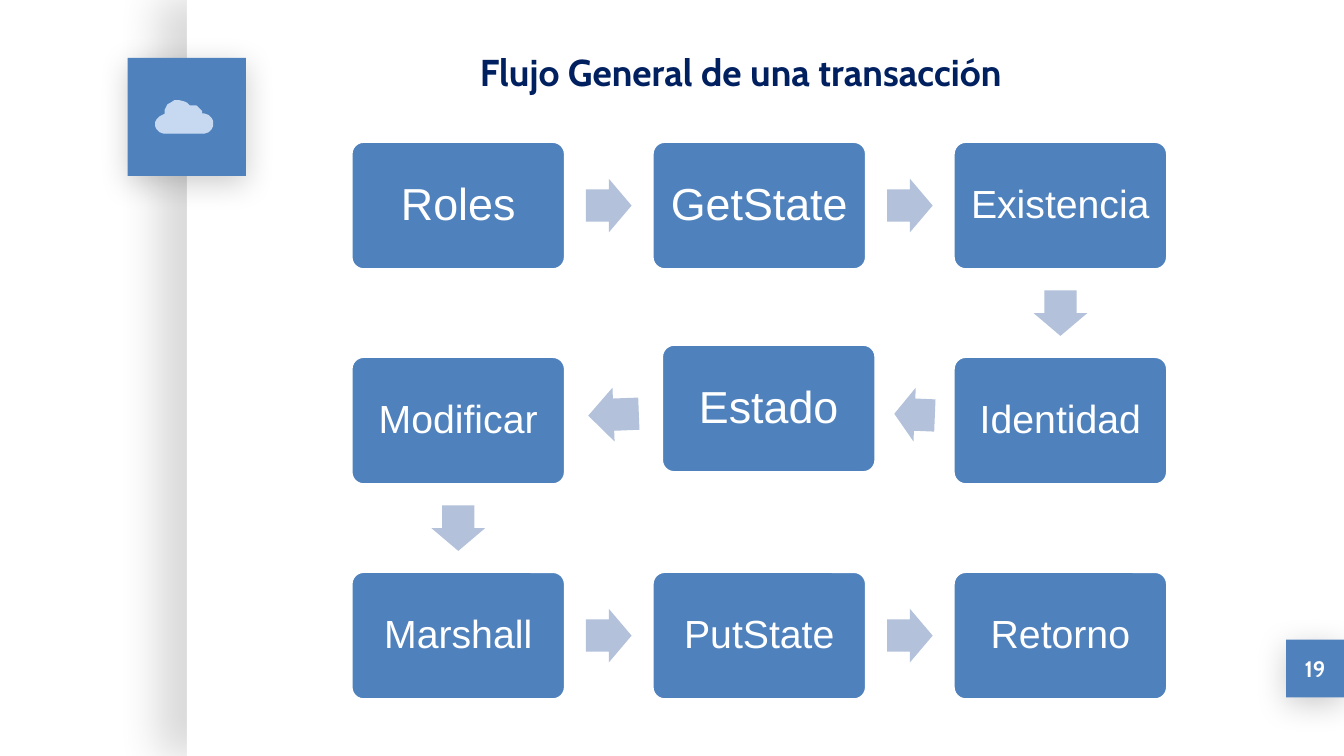
from math import atan2, degrees
from lxml import etree
from pptx import Presentation
from pptx.dml.color import RGBColor
from pptx.enum.shapes import MSO_SHAPE
from pptx.enum.text import MSO_ANCHOR, PP_ALIGN
from pptx.oxml.ns import qn
from pptx.util import Inches, Pt

RECT, ROUND, ARROW = MSO_SHAPE.RECTANGLE, MSO_SHAPE.ROUNDED_RECTANGLE, MSO_SHAPE.RIGHT_ARROW
MIDDLE = MSO_ANCHOR.MIDDLE
LEFT, CENTER = PP_ALIGN.LEFT, PP_ALIGN.CENTER

WIDE = 10
HIGH = WIDE * 9 / 16

COLORS = {"white": "FFFFFF", "blue": "4F81BD", "arrow": "B3C1DB",
          "cloud": "C6D9F1", "navy": "002060", "shade": "000000"}

# Label, column, row, size, and shift from the grid
STEPS = [
    ("Roles", 0, 0, 24, 0, 0), ("GetState", 1, 0, 24, 0, 0), ("Existencia", 2, 0, 21, 0, 0),
    ("Identidad", 2, 1, 21, 0, 0), ("Estado", 1, 1, 24, 0.07, -0.09), ("Modificar", 0, 1, 21, 0, 0),
    ("Marshall", 0, 2, 21, 0, 0), ("PutState", 1, 2, 21, 0, 0), ("Retorno", 2, 2, 21, 0, 0),
]

# Outline in hundredths of an inch
CLOUD = [(17, 0), (14, 0), (11, 2), (9, 3), (8, 5), (7, 7), (7, 10), (5, 11), (3, 12),
         (1, 14), (0, 16), (0, 19), (1, 21), (3, 23), (6, 24), (36, 24), (39, 23),
         (41, 21), (42, 19), (42, 15), (41, 13), (39, 11), (36, 10), (34, 10), (34, 8),
         (32, 6), (30, 4), (28, 4), (25, 4), (23, 2), (21, 1)]


def rgb(name):
    return RGBColor.from_string(COLORS[name])


def paint(shape, color):
    shape.shadow.inherit = False
    shape.fill.solid()
    shape.fill.fore_color.rgb = rgb(color)
    shape.line.fill.background()


def block(slide, kind, x, y, w, h, color):
    shape = slide.shapes.add_shape(kind, Inches(x), Inches(y), Inches(w), Inches(h))
    paint(shape, color)
    return shape


def shade(shape, alpha, blur, dist, angle):
    """Add an outer shadow; blur and dist in points, alpha in percent."""
    effects = shape._element.spPr.find(qn("a:effectLst"))
    outer = etree.SubElement(effects, qn("a:outerShdw"), blurRad=str(Pt(blur)),
                             dist=str(Pt(dist)), dir=str(angle * 60000),
                             algn="ctr", rotWithShape="0")
    tint = etree.SubElement(outer, qn("a:srgbClr"), val=COLORS["shade"])
    etree.SubElement(tint, qn("a:alpha"), val=str(alpha * 1000))


def write(shape, text, font, size, color, bold=False, align=CENTER):
    frame = shape.text_frame
    frame.text = text
    frame.word_wrap = True
    frame.vertical_anchor = MIDDLE
    para = frame.paragraphs[0]
    para.alignment = align
    para.font.name, para.font.size, para.font.bold = font, Pt(size), bold
    para.font.color.rgb = rgb(color)
    return para


def add_panel(slide, x, y, w, h):
    shade(block(slide, RECT, x, y, w, h, "white"), 15, 22.5, 15, 180)


def add_badge(slide, x, y, side):
    badge = block(slide, RECT, x, y, side, side, "blue")
    shade(badge, 20, 16.9, 3.8, 90)
    return badge


def add_cloud(slide, x, y):
    points = [(Inches(x + a / 100), Inches(y + b / 100)) for a, b in CLOUD]
    path = slide.shapes.build_freeform(*points[0])
    path.add_line_segments(points[1:], close=True)
    cloud = path.convert_to_shape()
    paint(cloud, "cloud")
    cloud.line.color.rgb = rgb("cloud")
    cloud.line.width = Pt(0.75)


def add_arrow(slide, start, end, w, h):
    """Point from one box centre to the next, halfway between them."""
    dx, dy = end[0] - start[0], end[1] - start[1]
    gap = max(abs(dx) - w, abs(dy) - h)
    size, tall = 0.53 * gap, 0.4
    x, y = (start[0] + end[0]) / 2, (start[1] + end[1]) / 2
    arrow = block(slide, ARROW, x - size / 2, y - tall / 2, size, tall, "arrow")
    arrow.adjustments[0], arrow.adjustments[1] = 0.6, 0.5
    arrow.rotation = degrees(atan2(dy, dx))


def add_flow(slide, x, y, w, h):
    wide, high = 1.6, 0.96
    across, down = (w - wide) / 2, (h - high) / 2
    last = None
    for label, col, row, size, dx, dy in STEPS:
        left, top = x + col * across + dx, y + row * down + dy
        box = block(slide, ROUND, left, top, wide, high, "blue")
        box.adjustments[0] = 0.1
        box.line.color.rgb = rgb("white")
        box.line.width = Pt(2)
        write(box, label, "Arial", size, "white").line_spacing = 0.9
        mid = left + wide / 2, top + high / 2
        if last:
            add_arrow(slide, last, mid, wide, high)
        last = mid


def add_title(slide, x, y, w, h):
    title = slide.shapes.title
    title.left, title.top, title.width, title.height = map(Inches, (x, y, w, h))
    write(title, "Flujo General de una transacción", "Cabin", 20, "navy", True, LEFT)
    slide.shapes._spTree.append(title._element)  # in front of the panel


def main():
    deck = Presentation()
    deck.slide_width, deck.slide_height = Inches(WIDE), Inches(HIGH)
    slide = deck.slides.add_slide(deck.slide_layouts[5])
    add_panel(slide, 1.39, 0, WIDE - 1.39, HIGH)
    add_badge(slide, 0.95, 0.43, 0.88)
    add_cloud(slide, 1.16, 0.75)
    write(add_badge(slide, 9.57, 4.76, 0.43), "19", "Cabin", 12, "white", True)
    add_flow(slide, 2.61, 1.05, 6.08, 4.16)
    add_title(slide, 3.47, 0.31, 4.78, 0.44)
    deck.save("out.pptx")


if __name__ == "__main__":
    main()
